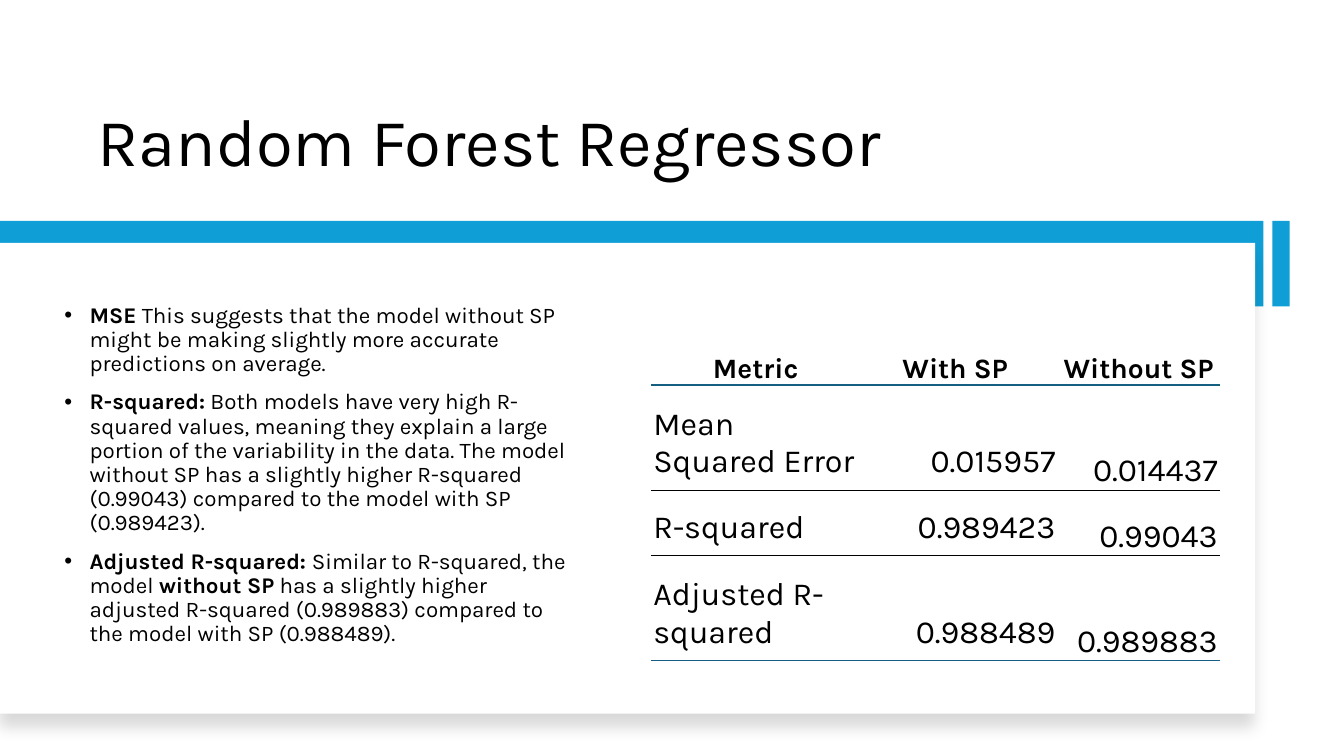
"""Build the Random Forest Regressor slide with its notes and metric table."""
from lxml import etree
from pptx import Presentation
from pptx import util as u
from pptx.dml.color import RGBColor
from pptx.enum import shapes, text
from pptx.oxml import parse_xml
from pptx.oxml.ns import qn

PX = 9144
FONT = "Karla"
HUE = {"ink": "000000", "blue": "0F9ED5", "rule": "156082", "white": "FFFFFF"}
TITLE = "Random Forest Regressor"
NOTES = [
    [("MSE", True),
     (" This suggests that the model without SP might be making slightly more "
      "accurate predictions on average.", False)],
    [("R-squared:", True),
     (" Both models have very high R-squared values, meaning they explain a large "
      "portion of the variability in the data. The model without SP has a slightly "
      "higher R-squared (0.99043) compared to the model with SP (0.989423).", False)],
    [("Adjusted R-squared: ", True),
     ("Similar to R-squared, the model ", False),
     ("without SP", True),
     (" has a slightly higher adjusted R-squared (0.989883) compared to the model "
      "with SP (0.988489).", False)],
]
ROWS = [
    ("Metric", "With SP ", "Without SP"),
    ("Mean Squared Error", "0.015957", "0.014437"),
    ("R-squared", "0.989423", "0.99043"),
    ("Adjusted R-squared", "0.988489", "0.989883"),
]
WIDE = (207, 196, 161)
HIGH = (88, 104, 65, 104)
RULES = [None, ("rule", 1.5), ("ink", 0.25), ("ink", 0.25), ("rule", 1)]
BARS = [
    ((0, 219, 1253, 85), "blue", 0),
    ((0, 241, 1245, 467), "white", 0),
    ((1228, 253, 85, 17), "blue", 90),
]
SHADE = {"blurRad": 11, "dist": 10}


def put(item, **vals):
    for name, val in vals.items():
        setattr(item, name, val)


def span(box):
    return [u.Emu(n * PX) for n in box]


def tint(hue):
    return RGBColor.from_string(HUE[hue])


def write(para, words, size, bold=False):
    run = para.add_run()
    run.text = words
    put(run.font, name=FONT, size=u.Pt(size), bold=bold)
    run.font.color.rgb = tint("ink")


def frame(slide, box, anchor):
    area = slide.shapes.add_textbox(*span(box)).text_frame
    put(area, word_wrap=True, vertical_anchor=anchor)
    return area


def bar(slide, box, hue, turn):
    rect = slide.shapes.add_shape(shapes.MSO_SHAPE.RECTANGLE, *span(box))
    rect.shadow.inherit = False
    rect.fill.solid()
    rect.fill.fore_color.rgb = tint(hue)
    rect.line.fill.background()
    rect.rotation = turn
    return rect


def shade(rect):
    glow = etree.SubElement(rect._element.spPr.find(qn("a:effectLst")), qn("a:outerShdw"))
    for name, size in SHADE.items():
        glow.set(name, str(u.Pt(size)))
    put_xml = {"dir": "5400000", "algn": "t", "rotWithShape": "0"}
    for name, val in put_xml.items():
        glow.set(name, val)
    ink = etree.SubElement(glow, qn("a:srgbClr"), val=HUE["ink"])
    etree.SubElement(ink, qn("a:alpha"), val="15000")


def edge(cell, spot, side, rule):
    fill = "<a:noFill/>"
    width = 0
    if rule:
        hue, size = rule
        width = u.Pt(size)
        fill = f'<a:solidFill><a:srgbClr val="{HUE[hue]}"/></a:solidFill>'
    line = parse_xml(
        f'<a:ln{side} xmlns:a="http://schemas.openxmlformats.org/drawingml/2006/main" '
        f'w="{width}">{fill}</a:ln{side}>')
    cell._tc.get_or_add_tcPr().insert(spot, line)


def bullet(para):
    put(para, line_spacing=0.9, space_before=u.Pt(10))
    props = para._p.get_or_add_pPr()
    props.set("marL", str(25 * PX))
    props.set("indent", str(-25 * PX))
    etree.SubElement(props, qn("a:buFont"), typeface="Arial")
    etree.SubElement(props, qn("a:buChar"), char="•")


def grid(slide):
    box = span((646, 294, sum(WIDE), sum(HIGH)))
    table = slide.shapes.add_table(len(ROWS), len(WIDE), *box).table
    put(table, first_row=False, horz_banding=False)
    for col, wide in zip(table.columns, WIDE):
        col.width = u.Emu(wide * PX)
    for r, row in enumerate(ROWS):
        table.rows[r].height = u.Emu(HIGH[r] * PX)
        for c, words in enumerate(row):
            cell = table.cell(r, c)
            head = r == 0
            tight = head or c == 2
            top, low = (2, 0) if tight else (9, 9)
            put(cell, vertical_anchor=text.MSO_ANCHOR.BOTTOM,
                margin_left=2 * PX, margin_right=2 * PX,
                margin_top=top * PX, margin_bottom=low * PX)
            cell.fill.background()
            sides = {"L": None, "R": None, "T": RULES[r], "B": RULES[r + 1]}
            for spot, (side, rule) in enumerate(sides.items()):
                edge(cell, spot, side, rule)
            para = cell.text_frame.paragraphs[0]
            align = text.PP_ALIGN
            para.alignment = align.CENTER if head else align.RIGHT if c else align.LEFT
            write(para, words, 20 if head else 23, head)


def main():
    deck = Presentation()
    put(deck, slide_width=u.Emu(1333 * PX), slide_height=u.Emu(750 * PX))
    slide = deck.slides.add_slide(deck.slide_layouts[6])
    title = frame(slide, (87, 42, 1101, 142), text.MSO_ANCHOR.BOTTOM).paragraphs[0]
    title.line_spacing = 0.9
    write(title, TITLE, 48)
    band, panel, tab = [bar(slide, *item) for item in BARS]
    shade(panel)
    notes = frame(slide, (54, 261, 528, 421), text.MSO_ANCHOR.MIDDLE)
    for n, parts in enumerate(NOTES):
        para = notes.add_paragraph() if n else notes.paragraphs[0]
        bullet(para)
        for words, bold in parts:
            write(para, words, 16, bold)
    grid(slide)
    deck.save("out.pptx")


if __name__ == "__main__":
    main()
